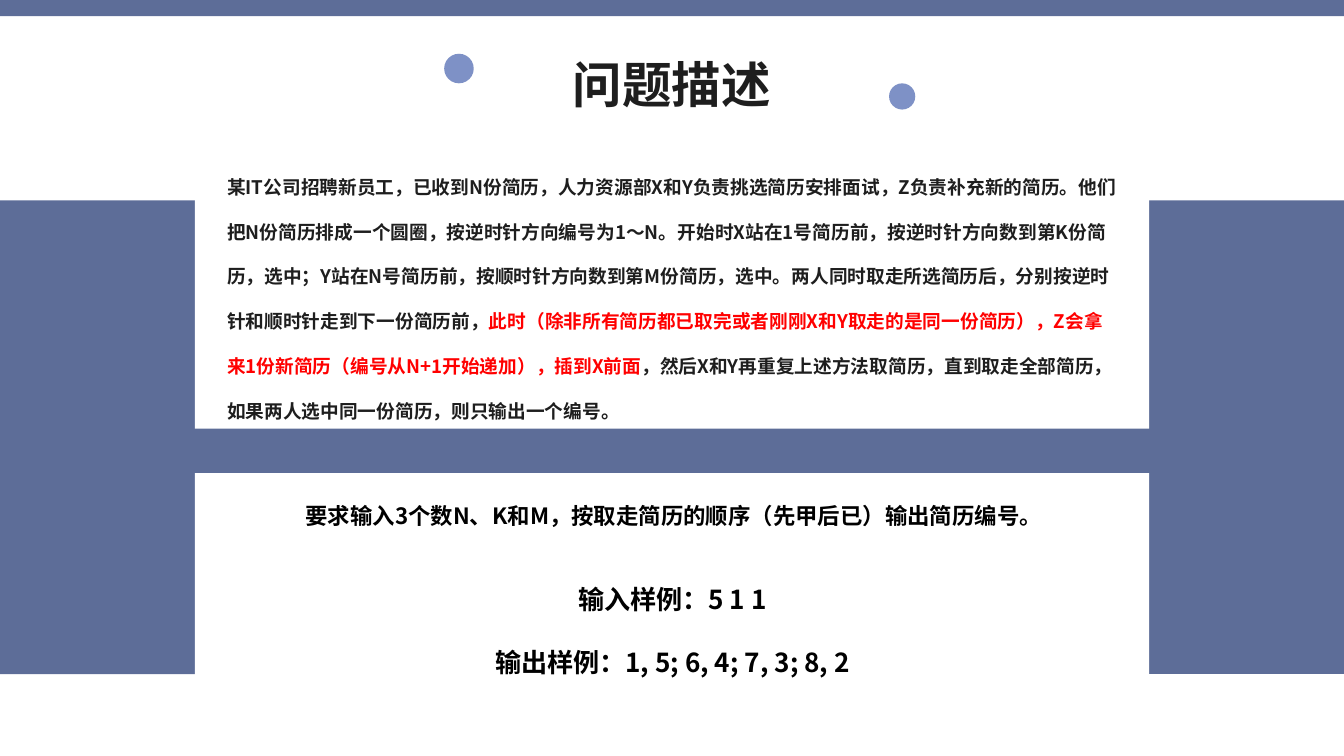
from lxml.etree import SubElement
from pptx import Presentation
from pptx.dml.color import RGBColor
from pptx.enum.shapes import MSO_SHAPE
from pptx.enum.text import MSO_ANCHOR, MSO_AUTO_SIZE, PP_ALIGN
from pptx.oxml.ns import qn
from pptx.util import Emu, Pt

PX = 9144
WIDTH, HEIGHT = 2000, 1125
FONT = "Noto Sans CJK SC"
SLATE, PERIWINKLE, WHITE = "5D6D98", "7E91C6", "FFFFFF"
INK, BLACK, RED = "1E1E1E", "000000", "FF0000"

STORY = [
    ("某IT公司招聘新员工，已收到N份简历，人力资源部X和Y负责挑选简历安排面试，Z负责补充新的简历。"
     "他们把N份简历排成一个圆圈，按逆时针方向编号为1～N。开始时X站在1号简历前，按逆时针方向数到第K份简历，选中；"
     "Y站在N号简历前，按顺时针方向数到第M份简历，选中。两人同时取走所选简历后，"
     "分别按逆时针和顺时针走到下一份简历前，", INK),
    ("此时（除非所有简历都已取完或者刚刚X和Y取走的是同一份简历），"
     "Z会拿来1份新简历（编号从N+1开始递加），插到X前面", RED),
    ("，然后X和Y再重复上述方法取简历，直到取走全部简历，如果两人选中同一份简历，则只输出一个编号。", INK),
]
TASK = "要求输入3个数N、K和M，按取走简历的顺序（先甲后已）输出简历编号。"
SAMPLES = ["输入样例：5 1 1", "输出样例：1, 5; 6, 4; 7, 3; 8, 2"]


def px(*lengths):
    """Turn pixel lengths into EMU."""
    return [Emu(length * PX) for length in lengths]


def rgb(color):
    """Turn a hex string into a colour."""
    return RGBColor.from_string(color)


def add_panel(slide, box, color, kind=MSO_SHAPE.RECTANGLE):
    """Add a flat filled shape."""
    panel = slide.shapes.add_shape(kind, *px(*box))
    panel.shadow.inherit = False
    panel.fill.solid()
    panel.fill.fore_color.rgb = rgb(color)
    panel.line.fill.background()
    return panel


def style_run(run, size, color):
    """Set the bold face, size and colour of a run."""
    run.font.name = FONT
    run.font.size = Pt(size)
    run.font.bold = True
    run.font.color.rgb = rgb(color)
    SubElement(run.font._element, qn("a:ea"), typeface=FONT)


def fill_text(holder, paragraphs, size, spacing, align=PP_ALIGN.CENTER):
    """Write paragraphs of (text, colour) runs without margins."""
    frame = holder.text_frame
    frame.word_wrap = True
    frame.auto_size = MSO_AUTO_SIZE.NONE
    frame.vertical_anchor = MSO_ANCHOR.TOP
    frame.margin_left = frame.margin_right = frame.margin_top = frame.margin_bottom = 0
    for index, pieces in enumerate(paragraphs):
        paragraph = frame.paragraphs[0] if index == 0 else frame.add_paragraph()
        paragraph.alignment = align
        paragraph.line_spacing = spacing
        for text, color in pieces:
            run = paragraph.add_run()
            run.text = text
            style_run(run, size, color)


def add_text(slide, box, *args):
    """Add a text box and fill it."""
    fill_text(slide.shapes.add_textbox(*px(*box)), *args)


def add_header(slide, left, top, width):
    """Place the top bar, the title and its two dots."""
    add_panel(slide, (left, top, width, 24), SLATE)
    title = slide.shapes.title
    title.left, title.top, title.width, title.height = px(left + 644, top + 80, 712, 88)
    fill_text(title, [[("问题描述", INK)]], 53, Pt(63.5))
    for x, y, diameter in ((661, 80, 44), (1323, 124, 39)):
        add_panel(slide, (left + x, top + y, diameter, diameter), PERIWINKLE, MSO_SHAPE.OVAL)


def add_story(slide, left, top, width, height):
    """Place the white card with the problem text."""
    add_panel(slide, (left, top, width, height), WHITE)
    add_text(slide, (left + 48, top - 45, 1325, 394), [STORY], 20, 2.0, PP_ALIGN.LEFT)


def add_task(slide, left, top, width, height):
    """Place the white card with the task and its samples."""
    add_panel(slide, (left, top, width, height), WHITE)
    add_text(slide, (left + 50, top + 23, 1325, 56), [[(TASK, BLACK)]], 24, Pt(43.7))
    samples = [[(sample, BLACK)] for sample in SAMPLES]
    add_text(slide, (left + 48, top + 118, 1325, 174), samples, 28, 2.0)


def main():
    """Build and save the slide."""
    deck = Presentation()
    deck.slide_width, deck.slide_height = px(WIDTH, HEIGHT)
    slide = deck.slides.add_slide(deck.slide_layouts[5])
    add_header(slide, 0, 0, WIDTH)
    band = add_panel(slide, (-50, 298, 2084, 705), SLATE, MSO_SHAPE.ROUNDED_RECTANGLE)
    band.adjustments[0] = 0.02
    add_task(slide, 290, 704, 1420, 329)
    add_story(slide, 290, 273, 1420, 365)
    deck.save("out.pptx")


if __name__ == "__main__":
    main()
